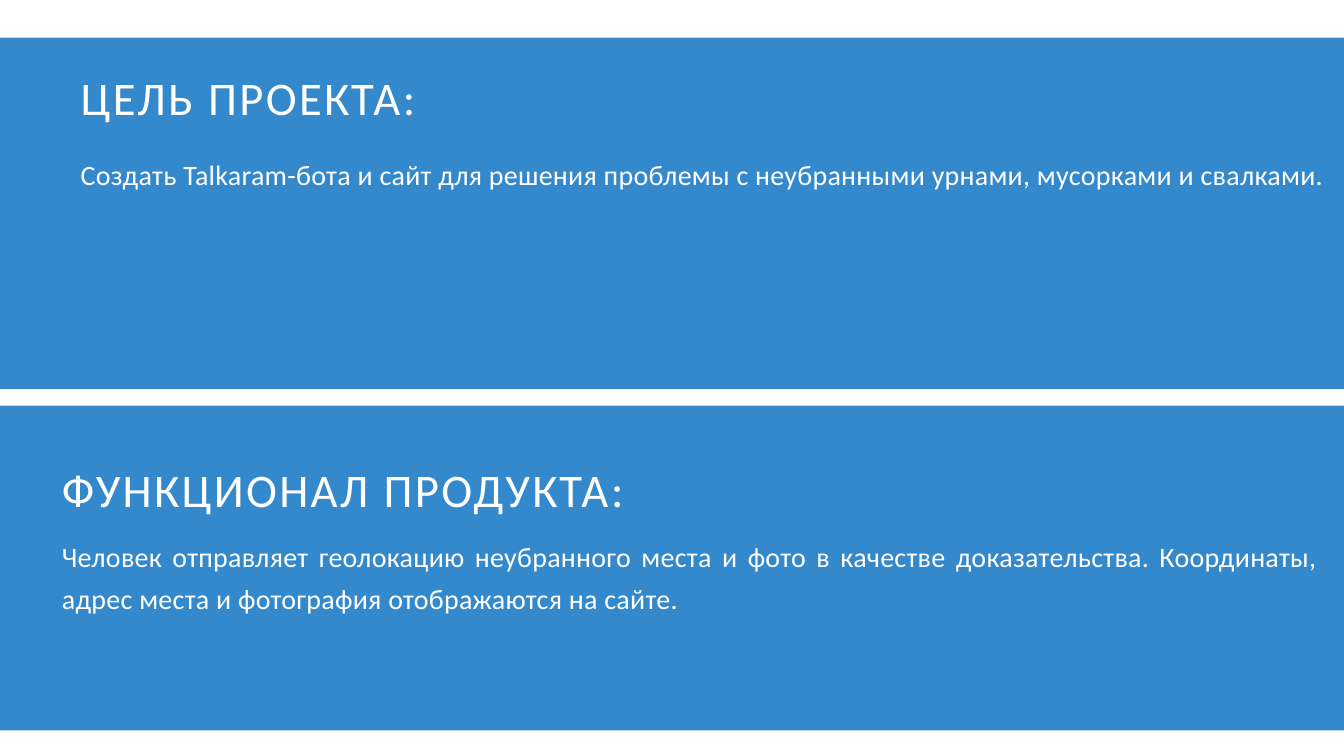
from pptx import Presentation
from pptx.dml.color import RGBColor
from pptx.enum.shapes import MSO_SHAPE
from pptx.enum.text import MSO_AUTO_SIZE, PP_ALIGN
from pptx.util import Cm, Pt

RECTANGLE = MSO_SHAPE.RECTANGLE
LEFT, JUSTIFY = PP_ALIGN.LEFT, PP_ALIGN.JUSTIFY
GROW = MSO_AUTO_SIZE.SHAPE_TO_FIT_TEXT
SLIDE_WIDTH, SLIDE_HEIGHT = 50.8, 28.58
BLUE, WHITE = "3488CC", "FFFFFF"
FONT = "Calibri"
HEADING = {"size": 50, "leading": 70, "tracking": 2.5, "align": LEFT}
STATEMENT = {"size": 30, "leading": 45, "tracking": 0.3, "align": JUSTIFY}


def color(hex_code):
    """Turn a hex string into a colour."""
    return RGBColor.from_string(hex_code)


def add_text(slide, box, text, *, size, leading, tracking, align):
    """Place one white paragraph in a box given in centimetres."""
    frame = slide.shapes.add_textbox(*map(Cm, box)).text_frame
    frame.word_wrap = True
    frame.auto_size = GROW
    frame.margin_left = frame.margin_right = 0
    frame.margin_top = frame.margin_bottom = 0
    paragraph = frame.paragraphs[0]
    paragraph.alignment = align
    paragraph.line_spacing = Pt(leading)
    run = paragraph.add_run()
    run.text = text
    run.font.name = FONT
    run.font.size = Pt(size)
    run.font.color.rgb = color(WHITE)
    run.font._element.set("spc", str(round(tracking * 100)))


def add_band(slide, box, heading, statement, *, indent, heading_drop,
             statement_drop, statement_height):
    """Draw a full-width band with its heading and statement."""
    left, top, _, _ = box
    band = slide.shapes.add_shape(RECTANGLE, *map(Cm, box))
    band.shadow.inherit = False
    band.fill.solid()
    band.fill.fore_color.rgb = color(BLUE)
    band.line.fill.background()
    add_text(slide, (left + indent, top + heading_drop, 47.42, 2.34),
             heading, **HEADING)
    add_text(slide, (left + indent, top + statement_drop, 47.52, statement_height),
             statement, **STATEMENT)


def main():
    """Build the slide with the project goal and the product functions."""
    deck = Presentation()
    deck.slide_width, deck.slide_height = Cm(SLIDE_WIDTH), Cm(SLIDE_HEIGHT)
    slide = deck.slides.add_slide(deck.slide_layouts[6])
    add_band(
        slide, (0, 1.42, SLIDE_WIDTH, 13.28), "ЦЕЛЬ ПРОЕКТА:",
        "Создать Talkaram-бота и сайт для решения проблемы с неубранными "
        "урнами, мусорками и свалками.",
        indent=3.05, heading_drop=0.82, statement_drop=4.22, statement_height=1.47)
    add_band(
        slide, (0, 15.34, SLIDE_WIDTH, 12.27), "ФУНКЦИОНАЛ ПРОДУКТА:",
        "Человек отправляет геолокацию неубранного места и фото в качестве "
        "доказательства. Координаты, адрес места и фотография отображаются на сайте.",
        indent=2.34, heading_drop=1.73, statement_drop=4.75, statement_height=3.1)
    deck.save("out.pptx")


if __name__ == "__main__":
    main()
